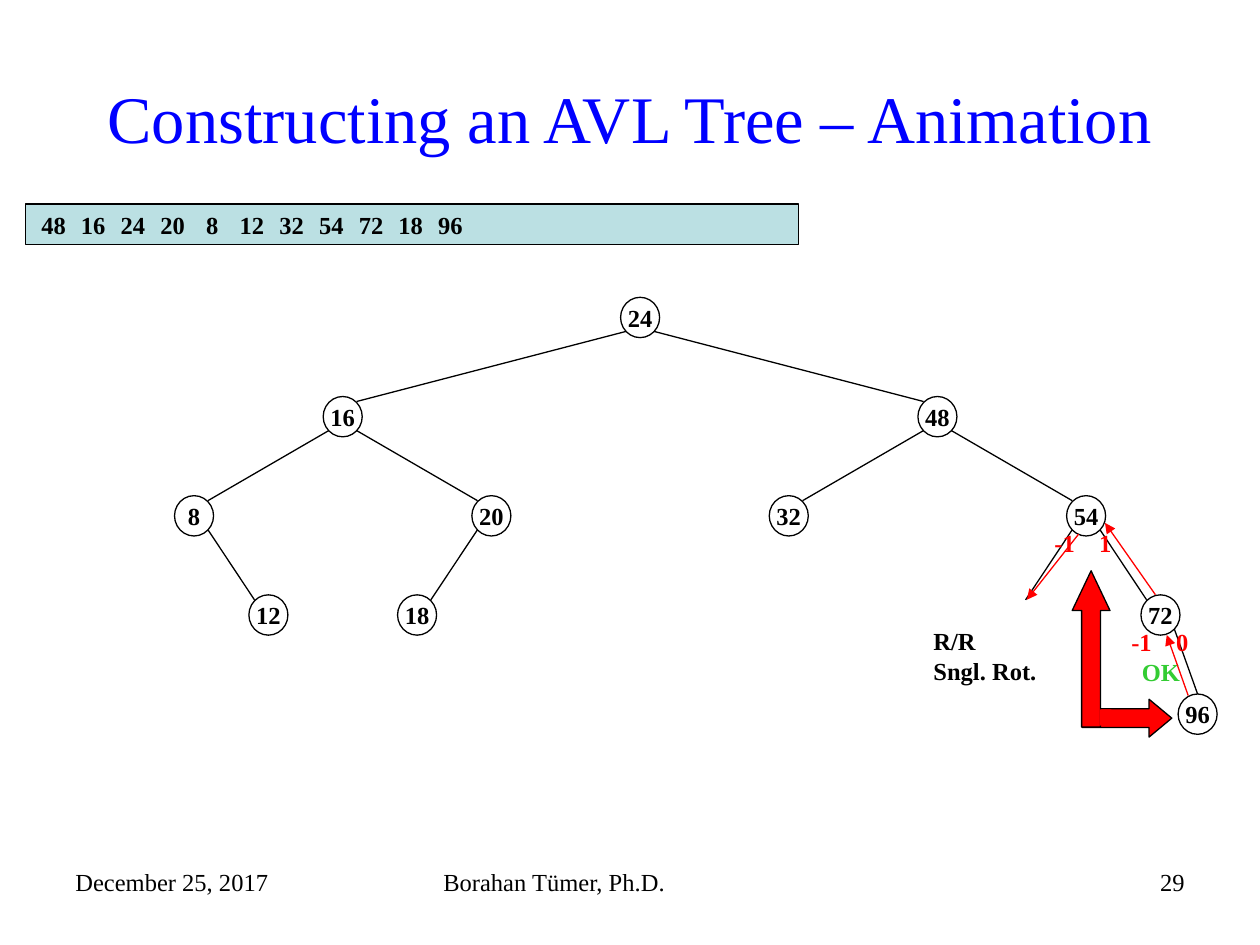
from lxml import etree
from pptx import Presentation
from pptx.dml.color import RGBColor
from pptx.enum.shapes import MSO_CONNECTOR, MSO_SHAPE
from pptx.enum.text import MSO_ANCHOR, PP_ALIGN
from pptx.oxml.ns import qn
from pptx.util import Inches, Pt

LEFT, CENTER, RIGHT = PP_ALIGN.LEFT, PP_ALIGN.CENTER, PP_ALIGN.RIGHT
TOP, MIDDLE = MSO_ANCHOR.TOP, MSO_ANCHOR.MIDDLE
RECTANGLE, OVAL, ARROW = MSO_SHAPE.RECTANGLE, MSO_SHAPE.OVAL, MSO_SHAPE.RIGHT_ARROW
STRAIGHT = MSO_CONNECTOR.STRAIGHT

BLACK, BLUE, RED, GREEN, PALE = "000000", "0000FF", "FF0000", "33CC33", "BBE0E3"
NODE_WIDTH, NODE_HEIGHT = 0.31, 0.32


def color(value):
    return RGBColor.from_string(value)


class Slide:
    font = "Times New Roman"
    size = 14
    line_width = 0.75

    def __init__(self, page):
        self.page = page

    def format_paragraph(self, para, align, ink, bold, size=None):
        para.alignment = align
        for span in para.runs:
            span.font.name = self.font
            span.font.size = Pt(size or self.size)
            span.font.bold = bold
            span.font.color.rgb = color(ink)

    def text(self, x, y, width, height, lines, align=LEFT, inks=(BLACK,),
             bold=False, size=None, anchor=TOP):
        box = self.page.shapes.add_textbox(Inches(x), Inches(y), Inches(width), Inches(height))
        frame = box.text_frame
        frame.word_wrap = True
        frame.vertical_anchor = anchor
        frame.text = "\n".join(lines)
        for index, para in enumerate(frame.paragraphs):
            self.format_paragraph(para, align, inks[index % len(inks)], bold, size)
        return frame

    def balance(self, x, y, height, factors, verdict=()):
        """Old and new balance factor, split by a tab, with an optional verdict."""
        frame = self.text(x, y, 0.65, height, ["\t".join(factors), *verdict],
                          CENTER, (RED, GREEN), True)
        frame.margin_right = Inches(0.08)
        para = frame.paragraphs[0]
        para.alignment = LEFT
        properties = para._p.get_or_add_pPr()
        tabs = etree.SubElement(properties, qn("a:tabLst"))
        etree.SubElement(tabs, qn("a:tab"), pos=str(Inches(0.355)), algn="l")

    def shape(self, kind, x, y, width, height, fill=None, line=BLACK):
        item = self.page.shapes.add_shape(kind, Inches(x), Inches(y), Inches(width), Inches(height))
        item.shadow.inherit = False
        if fill:
            item.fill.solid()
            item.fill.fore_color.rgb = color(fill)
        else:
            item.fill.background()
        if line:
            item.line.color.rgb = color(line)
            item.line.width = Pt(self.line_width)
        else:
            item.line.fill.background()
        return item

    def key(self, x, y, value, line=BLACK):
        frame = self.shape(OVAL, x, y, NODE_WIDTH, NODE_HEIGHT, line=line).text_frame
        frame.margin_left = frame.margin_right = frame.margin_top = frame.margin_bottom = 0
        frame.word_wrap = False
        frame.vertical_anchor = MIDDLE
        frame.text = str(value)
        self.format_paragraph(frame.paragraphs[0], CENTER, BLACK, True)

    def block_arrow(self, x, y, width, height, head, rotation=0):
        arrow = self.shape(ARROW, x, y, width, height, RED)
        arrow.adjustments[1] = head
        arrow.rotation = rotation

    def line(self, start, end, ink=BLACK, arrow=False):
        connector = self.page.shapes.add_connector(
            STRAIGHT, *(Inches(value) for value in (*start, *end)))
        connector.line.color.rgb = color(ink)
        connector.line.width = Pt(self.line_width)
        if arrow:
            etree.SubElement(connector.line._get_or_add_ln(), qn("a:tailEnd"), type="triangle")
        etree.SubElement(connector._element.spPr, qn("a:effectLst"))

    def tree(self, node, center=5.08, y=2.36, depth=1):
        """Draw a (key, left, right) node; a key of None leaves only its edge."""
        value, *children = node
        if value is not None:
            self.key(center - NODE_WIDTH / 2, y, value)
        for side, child in zip((-1, 1), children):
            if child is None:
                continue
            child_center = center + side * 4.72 / 2 ** depth
            child_y = y + 0.787
            end = (child_center - side * 0.11, child_y + 0.04)
            if depth == 4:  # the lowest edge is steep and meets the top of its node
                end = (child_center, child_y)
            self.line((center + side * 0.11, y + 0.27), end)
            self.tree(child, child_center, child_y, depth + 1)


def main():
    deck = Presentation()
    deck.slide_width, deck.slide_height = Inches(10), Inches(7.5)
    slide = Slide(deck.slides.add_slide(deck.slide_layouts[6]))

    # Footer and title
    slide.text(0.5, 6.83, 2.33, 0.52, ["December 25, 2017"])
    slide.text(3.42, 6.83, 3.17, 0.52, ["Borahan Tümer, Ph.D."])
    slide.text(7.17, 6.83, 2.33, 0.52, ["29"], RIGHT)
    slide.text(0.5, 0.3, 9, 1.25, ["Constructing an AVL Tree – Animation"],
               CENTER, (BLUE,), size=38, anchor=MIDDLE)

    # Insertion sequence
    slide.shape(RECTANGLE, 0.2, 1.62, 6.14, 0.32, PALE)
    for index, value in enumerate((48, 16, 24, 20, 8, 12, 32, 54, 72, 18, 96)):
        slide.key(0.27 + 0.315 * index, 1.62, value, line=None)

    # AVL tree
    left_branch = (16, (8, None, (12,)), (20, (18,), None))
    right_branch = (48, (32,), (54, (None,), (72, None, (96,))))
    slide.tree((24, left_branch, right_branch))

    # Balance factors
    slide.balance(8.88, 4.93, 0.57, ("-1", "0"), ("OK",))
    slide.balance(8.27, 4.14, 0.33, ("-1", "1"))

    # Rotation type
    slide.block_arrow(8.59, 5.55, 0.71, 0.3, 0.6)
    slide.block_arrow(8.04, 5, 1.24, 0.3, 1.05, rotation=270)
    slide.shape(RECTANGLE, 8.73, 5.63, 0.09, 0.13, RED, line=None)
    slide.text(7.31, 4.92, 1.09, 0.57, ["R/R", "Sngl. Rot."], bold=True)

    # Path from the new key up to the unbalanced node
    for start, end in (((9.43, 5.52), (9.26, 5.04)),
                       ((9.17, 4.72), (8.77, 4.15)),
                       ((8.56, 4.24), (8.15, 4.76))):
        slide.line(start, end, RED, arrow=True)

    deck.save("out.pptx")


if __name__ == "__main__":
    main()
